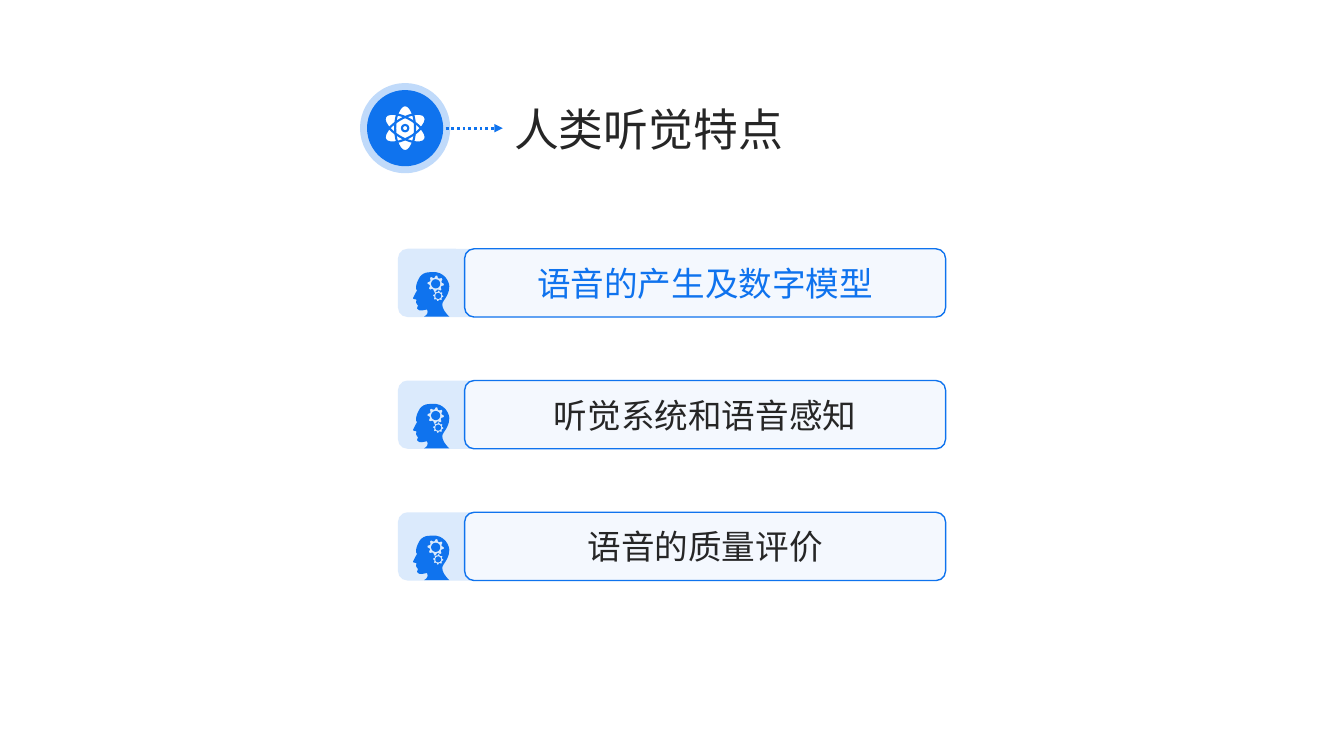
from math import cos, pi, sin

from lxml import etree
from pptx import Presentation
from pptx.dml.color import RGBColor
from pptx.enum.dml import MSO_LINE
from pptx.enum.shapes import MSO_CONNECTOR, MSO_SHAPE
from pptx.enum.text import MSO_ANCHOR, MSO_AUTO_SIZE, PP_ALIGN
from pptx.oxml.ns import qn
from pptx.util import Cm, Pt

OVAL, ROUNDED = MSO_SHAPE.OVAL, MSO_SHAPE.ROUNDED_RECTANGLE
STRAIGHT = MSO_CONNECTOR.STRAIGHT
DOTTED = MSO_LINE.ROUND_DOT
TOP, MIDDLE = MSO_ANCHOR.TOP, MSO_ANCHOR.MIDDLE
LEFT, CENTER = PP_ALIGN.LEFT, PP_ALIGN.CENTER
FIT_SHAPE = MSO_AUTO_SIZE.SHAPE_TO_FIT_TEXT

BLUE = RGBColor(0x0F, 0x73, 0xEE)
WHITE = RGBColor(0xFF, 0xFF, 0xFF)
DARK = RGBColor(0x26, 0x26, 0x26)
FONT = "Times New Roman"

TOPICS = [("语音的产生及数字模型", BLUE), ("听觉系统和语音感知", DARK), ("语音的质量评价", DARK)]
FIRST_TOP, PITCH, CARD_HEIGHT = 6.27, 3.32, 1.72
EMBLEM_X, EMBLEM_Y = 10.21, 3.23

# Head profile in hundredths of an inch: Bezier curves (control, control, end)
HEAD_START = (17, 0)
HEAD_CURVES = [
    ((19, 0), (21, 0), (23, 0)), ((31, 1), (36, 9), (36, 14)),
    ((36, 24), (29, 28), (29, 32)), ((29, 38), (36, 44), (36, 44)),
    ((28, 44), (19, 44), (11, 44)), ((11, 44), (16, 42), (14, 37)),
    ((13, 37), (10, 38), (8, 38)), ((6, 38), (5, 37), (4, 36)),
    ((4, 35), (5, 33), (5, 33)), ((4, 32), (3, 31), (3, 29)),
    ((4, 28), (3, 27), (3, 27)), ((3, 27), (1, 27), (0, 26)),
    ((0, 25), (4, 18), (4, 18)), ((4, 18), (3, 17), (3, 16)),
    ((3, 15), (3, 11), (6, 6)), ((8, 2), (12, 0), (17, 0)),
]
# Gears: centre x, centre y, tooth radius, root radius, hole radius
GEARS = [(22.5, 11.5, 8.2, 6.2, 4.5), (25, 23.5, 5.2, 4, 2.9)]
STEPS = 6


def add_filled(kind, left, top, width, height, color):
    shape = page.shapes.add_shape(kind, Cm(left), Cm(top), Cm(width), Cm(height))
    shape.shadow.inherit = False
    shape.fill.solid()
    shape.fill.fore_color.rgb = color
    shape.line.fill.background()
    return shape


def set_opacity(holder, percent):
    """Make the first colour below an XML element partly transparent."""
    color = next(holder.iter(qn("a:srgbClr")))
    etree.SubElement(color, qn("a:alpha")).set("val", str(percent * 1000))


deck = Presentation()
deck.slide_width, deck.slide_height = Cm(33.87), Cm(19.05)
page = deck.slides.add_slide(deck.slide_layouts[5])

# Emblem
disc = add_filled(OVAL, 9.25, 2.27, 1.92, 1.92, BLUE)
disc.line.color.rgb = BLUE
disc.line.width = Pt(10)
set_opacity(disc._element.spPr.find(qn("a:ln")), 25)

arrow = page.shapes.add_connector(STRAIGHT, Cm(10.95), Cm(EMBLEM_Y), Cm(12.67), Cm(EMBLEM_Y))
arrow.line.color.rgb = BLUE
arrow.line.width = Pt(2)
arrow.line.dash_style = DOTTED
etree.SubElement(arrow.line._get_or_add_ln(), qn("a:tailEnd")).set("type", "triangle")
etree.SubElement(arrow._element.spPr, qn("a:effectLst"))

for outlined in (False, True):
    for angle in (0, 60, 120):
        orbit = add_filled(OVAL, EMBLEM_X - 0.25, EMBLEM_Y - 0.58, 0.5, 1.16, WHITE)
        orbit.rotation = angle
        if outlined:
            orbit.fill.background()
            orbit.line.color.rgb = BLUE
            orbit.line.width = Pt(1.5)
nucleus = add_filled(OVAL, EMBLEM_X - 0.08, EMBLEM_Y - 0.08, 0.16, 0.16, WHITE)
nucleus.line.color.rgb = BLUE
nucleus.line.width = Pt(1.5)

# Title
title = page.shapes.title
title.left, title.top, title.width, title.height = Cm(12.7), Cm(2.44), Cm(7.29), Cm(1.63)
frame = title.text_frame
frame.text = "人类听觉特点"
frame.word_wrap = False
frame.auto_size = FIT_SHAPE
frame.vertical_anchor = TOP
para = frame.paragraphs[0]
para.alignment = LEFT
para.font.size, para.font.name, para.font.color.rgb = Pt(32), FONT, DARK

# Outlines of the head icon
profile = [HEAD_START]
for first, second, end in HEAD_CURVES:
    start = profile[-1]
    for step in range(1, STEPS + 1):
        t = step / STEPS
        u = 1 - t
        profile.append(tuple(
            u**3 * a + 3 * u * u * t * b + 3 * u * t * t * c + t**3 * d
            for a, b, c, d in zip(start, first, second, end)))
contours = [profile]
for x, y, tooth, root, hole in GEARS:
    turns = [2 * pi * index / 32 for index in range(32)]
    radii = [tooth if index % 4 < 2 else root for index in range(32)]
    contours.append([(x + r * cos(a), y + r * sin(a)) for a, r in zip(turns, radii)])
    contours.append([(x + hole * cos(a), y + hole * sin(a)) for a in turns])

# Topic rows
for row, (topic, color) in enumerate(TOPICS):
    top = FIRST_TOP + row * PITCH
    panel = add_filled(ROUNDED, 10.03, top, 13.75, CARD_HEIGHT, BLUE)
    panel.adjustments[0] = 0.14
    set_opacity(panel._element.spPr, 15)

    placed = [[(Cm(10.41 + x * 0.0254), Cm(top + 0.59 + y * 0.0254)) for x, y in contour]
              for contour in contours]
    builder = page.shapes.build_freeform(*placed[0][0])
    builder.add_line_segments(placed[0][1:])
    for contour in placed[1:]:
        builder.move_to(*contour[0])
        builder.add_line_segments(contour[1:])
    head = builder.convert_to_shape()
    head.shadow.inherit = False
    head.fill.solid()
    head.fill.fore_color.rgb = BLUE
    head.line.fill.background()

    card = add_filled(ROUNDED, 11.71, top, 12.12, CARD_HEIGHT, WHITE)
    card.adjustments[0] = 0.14
    set_opacity(card._element.spPr, 70)
    card.line.color.rgb = BLUE
    card.line.width = Pt(1)
    card.text_frame.text = topic
    card.text_frame.vertical_anchor = MIDDLE
    para = card.text_frame.paragraphs[0]
    para.alignment = CENTER
    para.font.size, para.font.name, para.font.color.rgb = Pt(24), FONT, color

deck.save("out.pptx")
